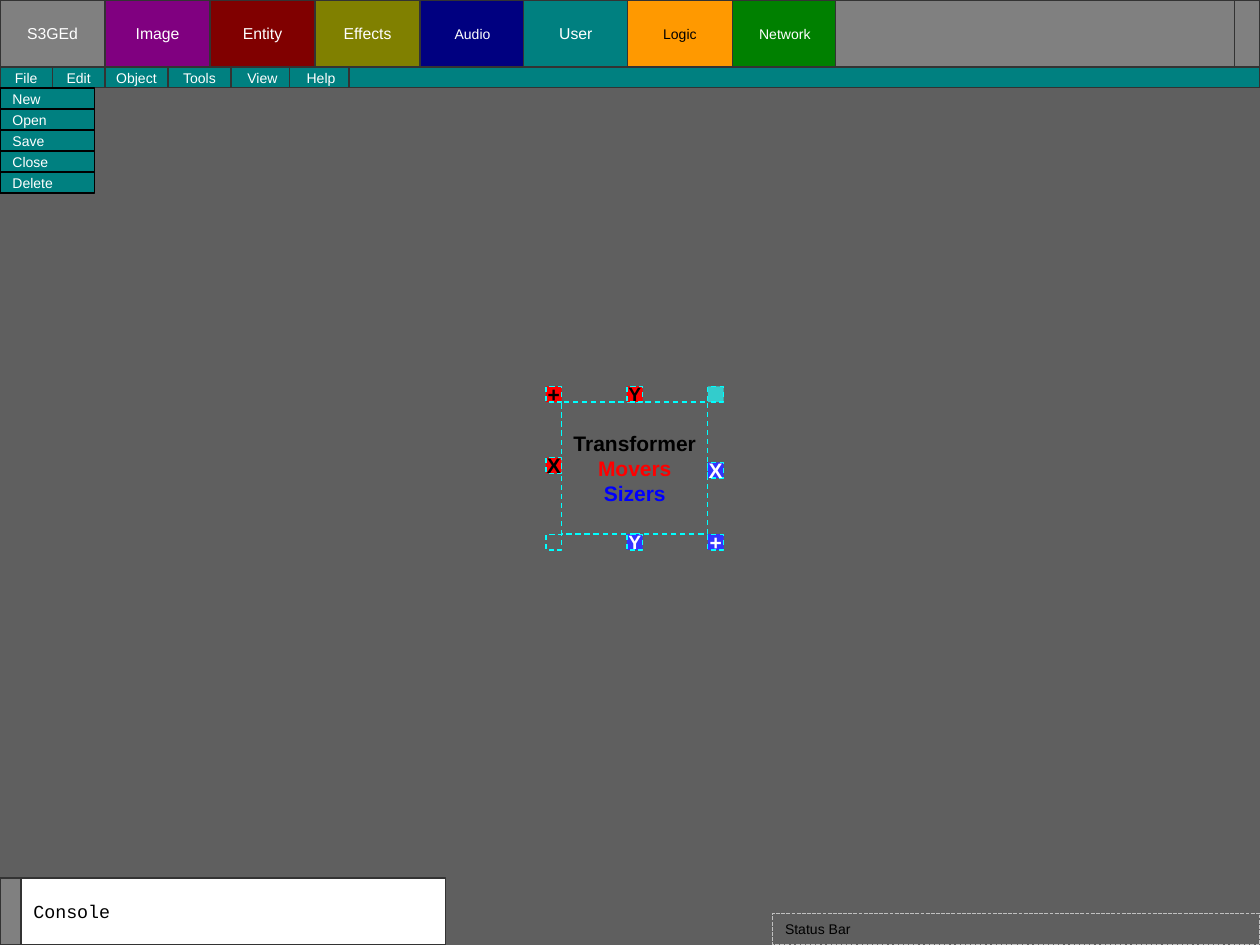
from typing import NamedTuple, Optional

from pptx import Presentation
from pptx.dml.color import RGBColor
from pptx.enum.dml import MSO_LINE
from pptx.enum.shapes import MSO_SHAPE
from pptx.enum.text import MSO_ANCHOR, PP_ALIGN
from pptx.util import Pt

COLOURS = {
    "backdrop": "5F5F5F", "grey": "808080", "edge": "333333", "silver": "C0C0C0",
    "black": "000000", "white": "FFFFFF", "purple": "800080", "maroon": "800000",
    "olive": "808000", "navy": "000080", "teal": "008080", "orange": "FF9900",
    "green": "008000", "red": "FF0000", "blue": "0000FF", "sizer": "3333FF",
    "cyan": "00FFFF", "turquoise": "33CCCC",
}
PAGE_WIDTH, PAGE_HEIGHT = 720, 540
TAB_HEIGHT = 38.25
ROW_HEIGHT = 12
MENU_TOP = TAB_HEIGHT
DROPDOWN_TOP = MENU_TOP + ROW_HEIGHT
CONSOLE_TOP = PAGE_HEIGHT - TAB_HEIGHT
HANDLE = 9


class Area(NamedTuple):
    left: float
    top: float
    width: float
    height: float


class Tab(NamedTuple):
    label: str
    left: float
    fill: str
    size: float = 9
    colour: str = "white"


class MenuItem(NamedTuple):
    label: str
    left: float
    width: float


class Handle(NamedTuple):
    label: str
    left: float
    top: float
    fill: Optional[str]
    colour: str = "black"
    size: float = 12


def rgb(name: str) -> RGBColor:
    return RGBColor.from_string(COLOURS[name])


def add_box(page, area: Area, fill: Optional[str] = None, line: str = "edge", dash=None):
    box = page.shapes.add_shape(MSO_SHAPE.RECTANGLE, *(Pt(length) for length in area))
    box.shadow.inherit = False
    if fill:
        box.fill.solid()
        box.fill.fore_color.rgb = rgb(fill)
    else:
        box.fill.background()
    box.line.color.rgb = rgb(line)
    box.line.width = Pt(0.75)
    if dash:
        box.line.dash_style = dash
    return box


def write(box, text: str, *, size: float = 8, colours: tuple = ("white",),
          font: str = "Arial", bold: bool = False, align=PP_ALIGN.CENTER) -> None:
    """Write one paragraph per line of text, each with its own colour."""
    frame = box.text_frame
    frame.word_wrap = False
    frame.vertical_anchor = MSO_ANCHOR.MIDDLE
    for index, (line, colour) in enumerate(zip(text.split("\n"), colours)):
        para = frame.add_paragraph() if index else frame.paragraphs[0]
        para.alignment = align
        span = para.add_run()
        span.text = line
        span.font.name = font
        span.font.size = Pt(size)
        span.font.bold = bold
        span.font.color.rgb = rgb(colour)


TABS = [
    Tab("S3GEd", 0, "grey"),
    Tab("Image", 60, "purple"),
    Tab("Entity", 120, "maroon"),
    Tab("Effects", 180, "olive"),
    Tab("Audio", 240, "navy", 8),
    Tab("User", 299, "teal"),
    Tab("Logic", 358.5, "orange", 8, "black"),
    Tab("Network", 418.5, "green", 8),
]
MENU = [
    MenuItem("File", 0, 30),
    MenuItem("Edit", 30, 30),
    MenuItem("Object", 60, 36),
    MenuItem("Tools", 96, 36),
    MenuItem("View", 132, 36),
    MenuItem("Help", 165.5, 36),
]
FILE_COMMANDS = ["New", "Open", "Save", "Close", "Delete"]

# Transformer frame; the handles sit just outside its edges
FRAME = Area(321, 229.75, 83.5, 75.5)
LEFT, RIGHT = FRAME.left - HANDLE, FRAME.left + FRAME.width
ABOVE, BELOW = FRAME.top - HANDLE, FRAME.top + FRAME.height
MIDDLE = FRAME.left + (FRAME.width - HANDLE) / 2
HANDLES = [
    Handle("+", LEFT, ABOVE, "red"),
    Handle("X", LEFT, 261.5, "red"),
    Handle("", LEFT, BELOW, None),
    Handle("Y", MIDDLE, ABOVE, "red", size=11),
    Handle("", RIGHT, ABOVE, "turquoise"),
    Handle("X", RIGHT, 264.25, "sizer", "white"),
    Handle("+", RIGHT, BELOW, "sizer", "white"),
    Handle("Y", MIDDLE, BELOW, "sizer", "white", 11),
]


def draw_tabs(page) -> None:
    for tab in TABS:
        box = add_box(page, Area(tab.left, 0, 60, TAB_HEIGHT), tab.fill)
        write(box, tab.label, size=tab.size, colours=(tab.colour,))
    for left, right in ((477.5, 705.5), (705.5, PAGE_WIDTH)):
        add_box(page, Area(left, 0, right - left, TAB_HEIGHT), "grey")


def draw_console_and_status(page) -> None:
    status = add_box(page, Area(441.5, 522, 278.5, 18), line="silver",
                     dash=MSO_LINE.SQUARE_DOT)
    write(status, "Status Bar", colours=("black",), align=PP_ALIGN.LEFT)
    add_box(page, Area(0, CONSOLE_TOP, 12, TAB_HEIGHT), "grey")
    console = add_box(page, Area(12, CONSOLE_TOP, 242.5, TAB_HEIGHT), "white")
    write(console, "Console", size=10.5, colours=("black",), font="Courier New",
          align=PP_ALIGN.LEFT)


def draw_menu(page) -> None:
    for item in MENU:
        box = add_box(page, Area(item.left, MENU_TOP, item.width, ROW_HEIGHT), "teal")
        write(box, item.label)
    add_box(page, Area(199.5, MENU_TOP, PAGE_WIDTH - 199.5, ROW_HEIGHT), "teal")
    for row, command in enumerate(FILE_COMMANDS):
        area = Area(0, DROPDOWN_TOP + row * ROW_HEIGHT, 54, ROW_HEIGHT)
        write(add_box(page, area, "teal", "black"), command, align=PP_ALIGN.LEFT)


def draw_transformer(page) -> None:
    frame = add_box(page, FRAME, line="cyan", dash=MSO_LINE.DASH)
    write(frame, "Transformer\nMovers\nSizers", size=12,
          colours=("black", "red", "blue"), bold=True)
    for handle in HANDLES:
        area = Area(handle.left, handle.top, HANDLE, HANDLE)
        box = add_box(page, area, handle.fill, "cyan", MSO_LINE.DASH)
        if handle.label:
            write(box, handle.label, size=handle.size, colours=(handle.colour,), bold=True)


def main() -> None:
    deck = Presentation()
    deck.slide_width, deck.slide_height = Pt(PAGE_WIDTH), Pt(PAGE_HEIGHT)
    page = deck.slides.add_slide(deck.slide_layouts[6])
    page.background.fill.solid()
    page.background.fill.fore_color.rgb = rgb("backdrop")
    draw_tabs(page)
    draw_console_and_status(page)
    draw_menu(page)
    draw_transformer(page)
    deck.save("out.pptx")


if __name__ == "__main__":
    main()
